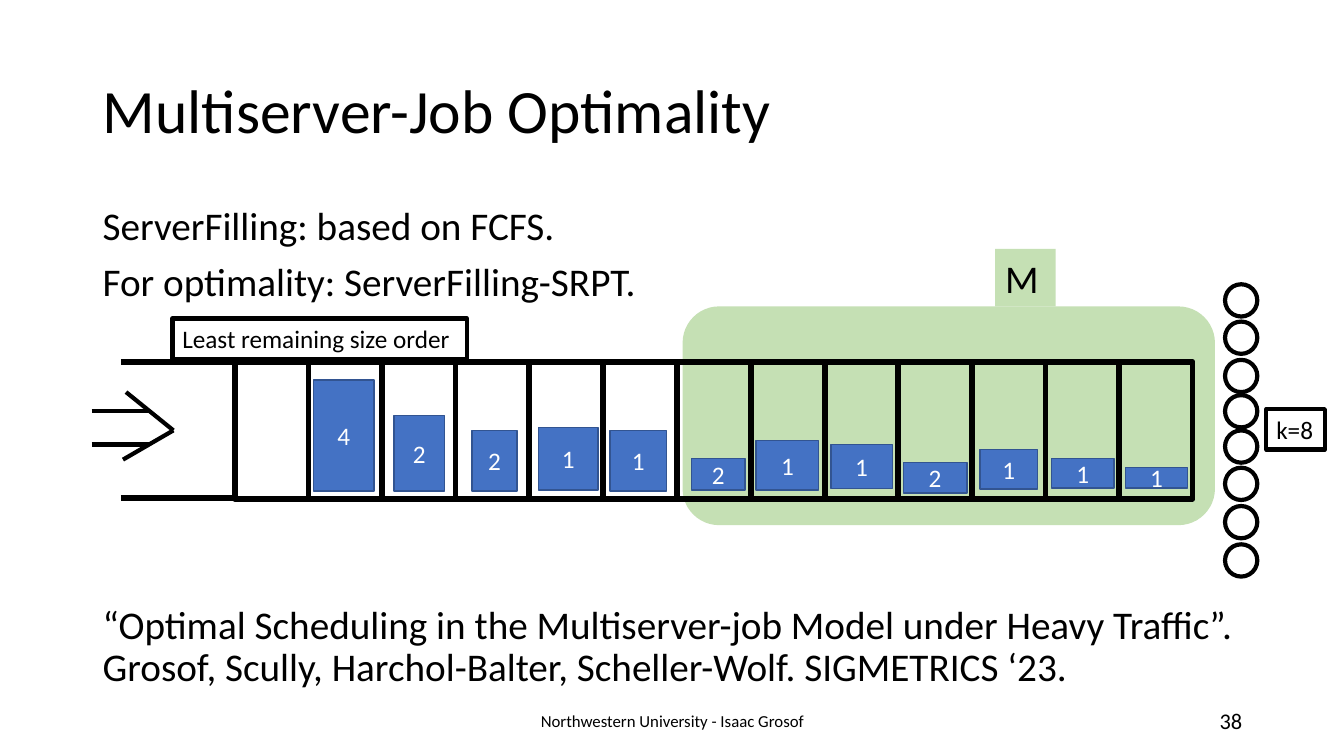
from dataclasses import dataclass

import pptx
import pptx.dml.color
import pptx.enum.shapes
import pptx.enum.text
import pptx.oxml.ns
import pptx.util
from lxml import etree

PX = 9144  # 100 px to the inch
COLORS = {"black": "000000", "white": "FFFFFF", "green": "C5E0B4",
          "blue": "4472C4", "navy": "325491"}
SHAPES = pptx.enum.shapes.MSO_SHAPE
ALIGN = pptx.enum.text.PP_ALIGN
ANCHOR = pptx.enum.text.MSO_ANCHOR


@dataclass
class Area:
    left: int
    top: int
    width: int
    height: int

    def emu(self) -> list[int]:
        return [n * PX for n in (self.left, self.top, self.width, self.height)]


@dataclass
class Job:
    servers: int
    area: Area


@dataclass
class Label:
    text: str
    area: Area
    size: int
    align: ALIGN = ALIGN.LEFT
    anchor: ANCHOR = ANCHOR.MIDDLE
    spacing: float = 1.0


@dataclass
class Stroke:
    start: tuple[int, int]
    end: tuple[int, int]
    weight: int


JOBS = [
    Job(4, Area(311, 377, 60, 110)), Job(2, Area(391, 412, 50, 75)),
    Job(2, Area(468, 427, 45, 60)), Job(1, Area(534, 424, 59, 62)),
    Job(1, Area(605, 427, 56, 60)), Job(2, Area(686, 455, 53, 31)),
    Job(1, Area(750, 437, 62, 49)), Job(1, Area(824, 441, 61, 44)),
    Job(2, Area(896, 459, 63, 30)), Job(1, Area(972, 446, 57, 39)),
    Job(1, Area(1043, 455, 62, 29)), Job(1, Area(1116, 464, 62, 20)),
]
TEXTS = [
    Label("Multiserver-Job Optimality", Area(92, 40, 1150, 145), 44, spacing=0.9),
    Label("ServerFilling: based on FCFS.\nFor optimality: ServerFilling-SRPT.",
          Area(92, 200, 1150, 110), 28, anchor=ANCHOR.TOP, spacing=0.9),
    Label("“Optimal Scheduling in the Multiserver-job Model under Heavy Traffic”. "
          "Grosof, Scully, Harchol-Balter, Scheller-Wolf. SIGMETRICS ‘23.",
          Area(92, 596, 1150, 98), 28, anchor=ANCHOR.TOP, spacing=0.9),
    Label("Northwestern University - Isaac Grosof", Area(442, 695, 450, 40), 12, ALIGN.CENTER),
    Label("38", Area(942, 695, 300, 40), 16, ALIGN.RIGHT),
]
NOTES = [
    Label("k=8", Area(1256, 406, 58, 40), 18, anchor=ANCHOR.TOP),
    Label("Least remaining size order", Area(171, 316, 292, 40), 18, anchor=ANCHOR.TOP),
]
STROKES = [
    Stroke((125, 389), (172, 427), 3), Stroke((122, 456), (172, 427), 3),
    Stroke((91, 408), (148, 408), 3), Stroke((91, 441), (148, 441), 3),
    Stroke((120, 359), (525, 359), 4), Stroke((120, 494), (525, 494), 4),
]
SERVER_TOPS = (282, 319, 357, 392, 427, 464, 502, 540)
CELL_COUNT, WAITING_CELLS = 13, 6
CELL_LEFT, CELL_PITCH = 233, 73.1


def color(name: str) -> pptx.dml.color.RGBColor:
    return pptx.dml.color.RGBColor.from_string(COLORS[name])


def write(box, label: Label, ink: str = "black") -> None:
    frame = box.text_frame
    frame.word_wrap = True
    frame.vertical_anchor = label.anchor
    frame.text = label.text
    for index, para in enumerate(frame.paragraphs):
        para.alignment = label.align
        para.line_spacing = label.spacing
        if index:
            para.space_before = pptx.util.Pt(10)
        para.font.name = "Calibri"
        para.font.size = pptx.util.Pt(label.size)
        para.font.color.rgb = color(ink)


def add_text(page, label: Label) -> None:
    write(page.shapes.add_textbox(*label.area.emu()), label)


def add_figure(page, kind: SHAPES, area: Area, fill: str = "",
               line: str = "", weight: int = 1):
    """Draw a preset shape; an empty colour name means no fill or no line."""
    figure = page.shapes.add_shape(kind, *area.emu())
    figure.shadow.inherit = False
    if fill:
        figure.fill.solid()
        figure.fill.fore_color.rgb = color(fill)
    else:
        figure.fill.background()
    if line:
        figure.line.color.rgb = color(line)
        figure.line.width = pptx.util.Pt(weight)
    else:
        figure.line.fill.background()
    return figure


def add_stroke(page, stroke: Stroke) -> None:
    ends = [n * PX for n in stroke.start + stroke.end]
    line = page.shapes.add_connector(pptx.enum.shapes.MSO_CONNECTOR.STRAIGHT, *ends)
    line.line.color.rgb = color("black")
    line.line.width = pptx.util.Pt(stroke.weight)
    etree.SubElement(line._element.spPr, pptx.oxml.ns.qn("a:effectLst"))


def add_served_region(page) -> None:
    add_figure(page, SHAPES.ROUNDED_RECTANGLE, Area(677, 304, 528, 217), "green")
    tab = Label("M", Area(987, 247, 60, 57), 28, anchor=ANCHOR.TOP)
    write(add_figure(page, SHAPES.RECTANGLE, tab.area, "green"), tab)


def add_queue(page) -> None:
    for stroke in STROKES:
        add_stroke(page, stroke)
    for index in range(CELL_COUNT):
        cell = Area(round(CELL_LEFT + index * CELL_PITCH), 359, 73, 136)
        fill = "white" if index < WAITING_CELLS else ""
        add_figure(page, SHAPES.RECTANGLE, cell, fill, "black", 4)
    for job in JOBS:
        block = add_figure(page, SHAPES.RECTANGLE, job.area, "blue", "navy")
        write(block, Label(str(job.servers), job.area, 18, ALIGN.CENTER), "white")


def add_servers(page) -> None:
    for top in SERVER_TOPS:
        add_figure(page, SHAPES.OVAL, Area(1215, top, 32, 32), "white", "black", 3)


def main() -> None:
    deck = pptx.Presentation()
    deck.slide_width, deck.slide_height = 1333 * PX, 750 * PX
    page = deck.slides.add_slide(deck.slide_layouts[6])
    add_served_region(page)
    for label in TEXTS:
        add_text(page, label)
    add_queue(page)
    add_servers(page)
    for note in NOTES:
        write(add_figure(page, SHAPES.RECTANGLE, note.area, "", "black", 3), note)
    deck.save("out.pptx")


if __name__ == "__main__":
    main()
